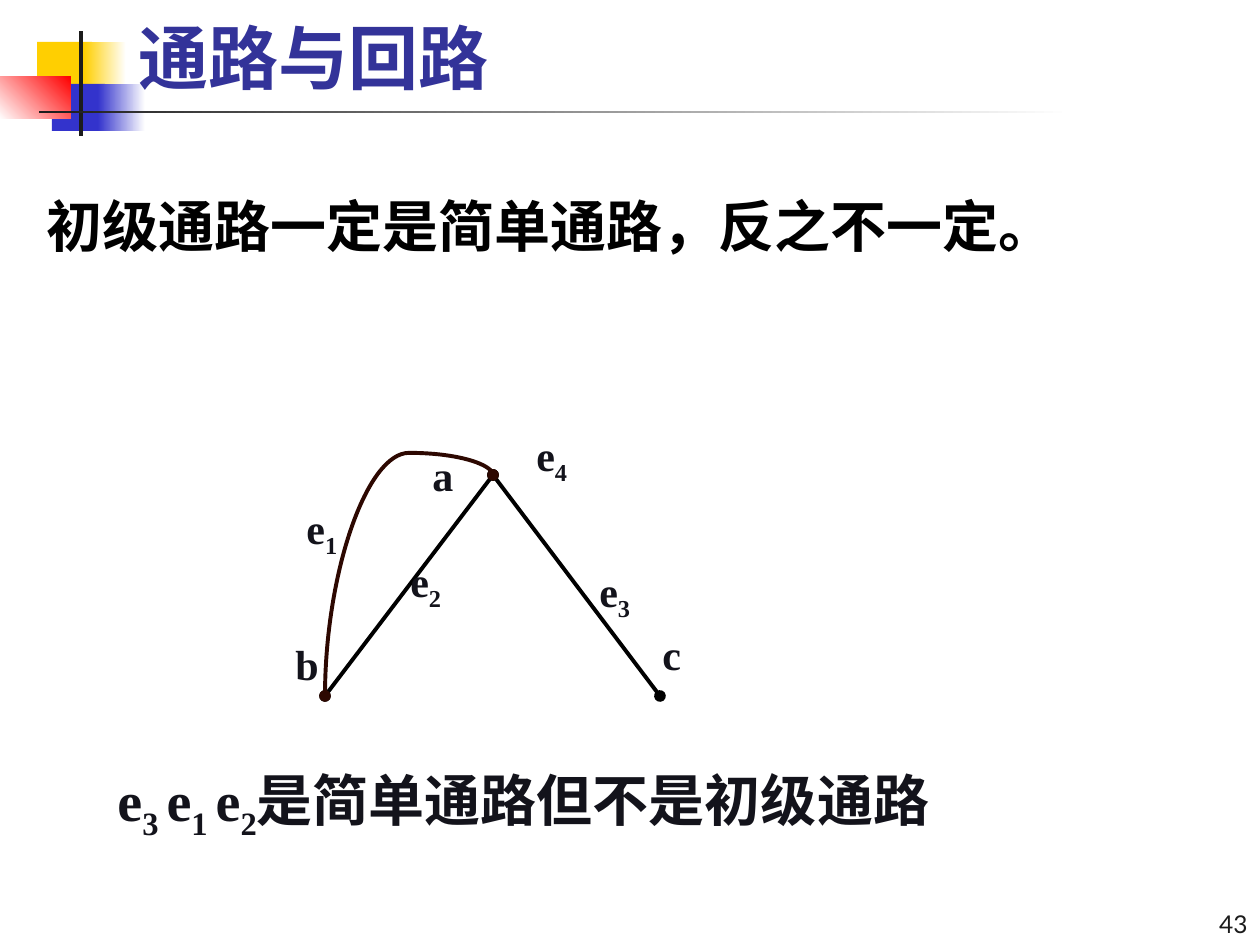
import dataclasses

import pptx
import pptx.dml.color
import pptx.enum.shapes
import pptx.enum.text
import pptx.oxml
import pptx.oxml.ns
import pptx.util

Align = pptx.enum.text.PP_ALIGN
Anchor = pptx.enum.text.MSO_ANCHOR
Connector = pptx.enum.shapes.MSO_CONNECTOR


@dataclasses.dataclass(frozen=True)
class Theme:
    """Colours, fonts and type sizes of the slide."""
    yellow: str = "FFCF01"
    blue: str = "3333CC"
    red: str = "FF0000"
    white: str = "FFFFFF"
    black: str = "000000"
    dark: str = "1C1C1C"
    ink: str = "13131B"
    curve: str = "2D0801"
    title: str = "333399"
    sans: str = "Lato"
    serif: str = "Times New Roman"
    chinese: str = "Noto Sans CJK SC"
    title_size: int = 40
    body_size: int = 32
    label_size: int = 24
    number_size: int = 14
    line_width: float = 2.25


class SlideBuilder:
    """Draws styled elements on one slide, with lengths in px."""

    SCALE = 914400 / 126

    def __init__(self, presentation, theme):
        """Open a title-only slide."""
        self.theme = theme
        self.slide = presentation.slides.add_slide(presentation.slide_layouts[5])
        self.shapes = self.slide.shapes

    def emu(self, *lengths):
        """Turn px into EMU."""
        return [pptx.util.Emu(round(length * self.SCALE)) for length in lengths]

    def rectangle(self, box, *colours, angle=0):
        """Add a borderless rectangle in one colour or a two-colour gradient."""
        shape = self.shapes.add_shape(
            pptx.enum.shapes.MSO_SHAPE.RECTANGLE, *self.emu(*box))
        shape.shadow.inherit = False
        shape.line.fill.background()
        if len(colours) == 1:
            shape.fill.solid()
            shape.fill.fore_color.rgb = pptx.dml.color.RGBColor.from_string(colours[0])
        else:
            shape.fill.gradient()
            shape.fill.gradient_angle = angle
            for stop, colour in zip(shape.fill.gradient_stops, colours):
                stop.color.rgb = pptx.dml.color.RGBColor.from_string(colour)

    def fill_text(self, shape, runs, size, font, colour, bold=True,
                  align=Align.LEFT, anchor=Anchor.TOP, wrap=True):
        """Write (text, is_subscript) runs into a shape."""
        frame = shape.text_frame
        frame.word_wrap = wrap
        frame.auto_size = pptx.enum.text.MSO_AUTO_SIZE.NONE
        frame.vertical_anchor = anchor
        paragraph = frame.paragraphs[0]
        paragraph.alignment = align
        for text, is_subscript in runs:
            run = paragraph.add_run()
            run.text = text
            run.font.size = pptx.util.Pt(size)
            run.font.bold = bold
            run.font.name = font
            run.font.color.rgb = pptx.dml.color.RGBColor.from_string(colour)
            properties = run._r.get_or_add_rPr()
            east_asian = pptx.oxml.parse_xml(
                f'<a:ea {pptx.oxml.ns.nsdecls("a")} typeface="{self.theme.chinese}"/>')
            properties.find(pptx.oxml.ns.qn("a:latin")).addnext(east_asian)
            if is_subscript:
                properties.set("baseline", "-25000")

    def text(self, box, runs, size, font, colour, **options):
        """Add a text box."""
        shape = self.shapes.add_textbox(*self.emu(*box))
        self.fill_text(shape, runs, size, font, colour, **options)

    def title(self, box, text):
        """Place the title placeholder in front and fill it."""
        shape = self.shapes.title
        shape.left, shape.top, shape.width, shape.height = self.emu(*box)
        self.fill_text(shape, [(text, False)], self.theme.title_size,
                       self.theme.sans, self.theme.title, anchor=Anchor.BOTTOM)
        self.shapes._spTree.append(shape._element)

    def label(self, left, top, name, subscript=""):
        """Add a vertex or edge label."""
        runs = [(name, False)] + ([(subscript, True)] if subscript else [])
        self.text((left, top, 73 if subscript else 53, 63), runs,
                  self.theme.label_size, self.theme.serif, self.theme.ink)

    def edge(self, start, end, colour, kind=Connector.STRAIGHT):
        """Add a connector with a dot at each end."""
        connector = self.shapes.add_connector(kind, *self.emu(*start, *end))
        connector.line.width = pptx.util.Pt(self.theme.line_width)
        connector.line.color.rgb = pptx.dml.color.RGBColor.from_string(colour)
        line = connector.line._get_or_add_ln()
        namespace = pptx.oxml.ns.nsdecls("a")
        for tag in ("headEnd", "tailEnd"):
            line.append(pptx.oxml.parse_xml(f'<a:{tag} {namespace} type="oval"/>'))
        connector._element.spPr.append(
            pptx.oxml.parse_xml(f"<a:effectLst {namespace}/>"))
        return connector

    def arch(self, start, end, colour, bend):
        """Add a curved edge that rises from start, passes over and drops to end."""
        middle_x, middle_y = (start[0] + end[0]) / 2, (start[1] + end[1]) / 2
        half_width, half_height = (start[1] - end[1]) / 2, (end[0] - start[0]) / 2
        connector = self.edge((middle_x + half_width, middle_y + half_height),
                              (middle_x - half_width, middle_y - half_height),
                              colour, Connector.CURVE)
        properties = connector._element.spPr
        properties.find(pptx.oxml.ns.qn("a:xfrm")).set("rot", "5400000")
        geometry = properties.find(pptx.oxml.ns.qn("a:prstGeom"))
        for child in list(geometry):
            geometry.remove(child)
        geometry.append(pptx.oxml.parse_xml(
            f'<a:avLst {pptx.oxml.ns.nsdecls("a")}>'
            f'<a:gd name="adj1" fmla="val {round(bend * 100000)}"/></a:avLst>'))


def main():
    """Build the slide on paths and circuits."""
    theme = Theme()
    presentation = pptx.Presentation()
    presentation.slide_width = pptx.util.Inches(10)
    presentation.slide_height = pptx.util.Inches(7.5)
    builder = SlideBuilder(presentation, theme)

    builder.rectangle((37, 42, 55, 48), theme.yellow)
    builder.rectangle((84, 42, 42, 48), theme.yellow, theme.white)
    builder.rectangle((52, 84, 53, 47), theme.blue)
    builder.rectangle((98, 84, 47, 47), theme.blue, theme.white)
    builder.rectangle((0, 77, 71, 42), theme.white, theme.red, angle=45)
    builder.rectangle((79, 31, 4, 105), theme.dark)
    builder.rectangle((39, 111, 1032, 2), theme.dark, theme.white)

    builder.text((1092, 892, 168, 53), [("43", False)], theme.number_size,
                 theme.sans, theme.dark, bold=False,
                 align=Align.RIGHT, anchor=Anchor.BOTTOM)

    vertex_a, vertex_b, vertex_c = (493, 475), (325, 696), (660, 696)
    builder.edge(vertex_a, vertex_c, theme.black)
    builder.edge(vertex_b, vertex_a, theme.black)
    builder.arch(vertex_b, vertex_a, theme.curve, bend=1.1)

    for left, top, *label in [
        (420, 443, "a"), (283, 632, "b"), (650, 622, "c"),
        (294, 496, "e", "1"), (398, 549, "e", "2"),
        (587, 559, "e", "3"), (524, 423, "e", "4"),
    ]:
        builder.label(left, top, *label)

    builder.text((105, 759, 1029, 79),
                 [("e", False), ("3 ", True), ("e", False), ("1 ", True),
                  ("e", False), ("2", True), ("是简单通路但不是初级通路", False)],
                 theme.body_size, theme.serif, theme.ink)
    builder.text((34, 185, 1037, 79),
                 [("初级通路一定是简单通路，反之不一定。", False)],
                 theme.body_size, theme.chinese, theme.black, wrap=False)
    builder.title((126, 0, 1134, 105), "通路与回路")
    presentation.save("out.pptx")


if __name__ == "__main__":
    main()
